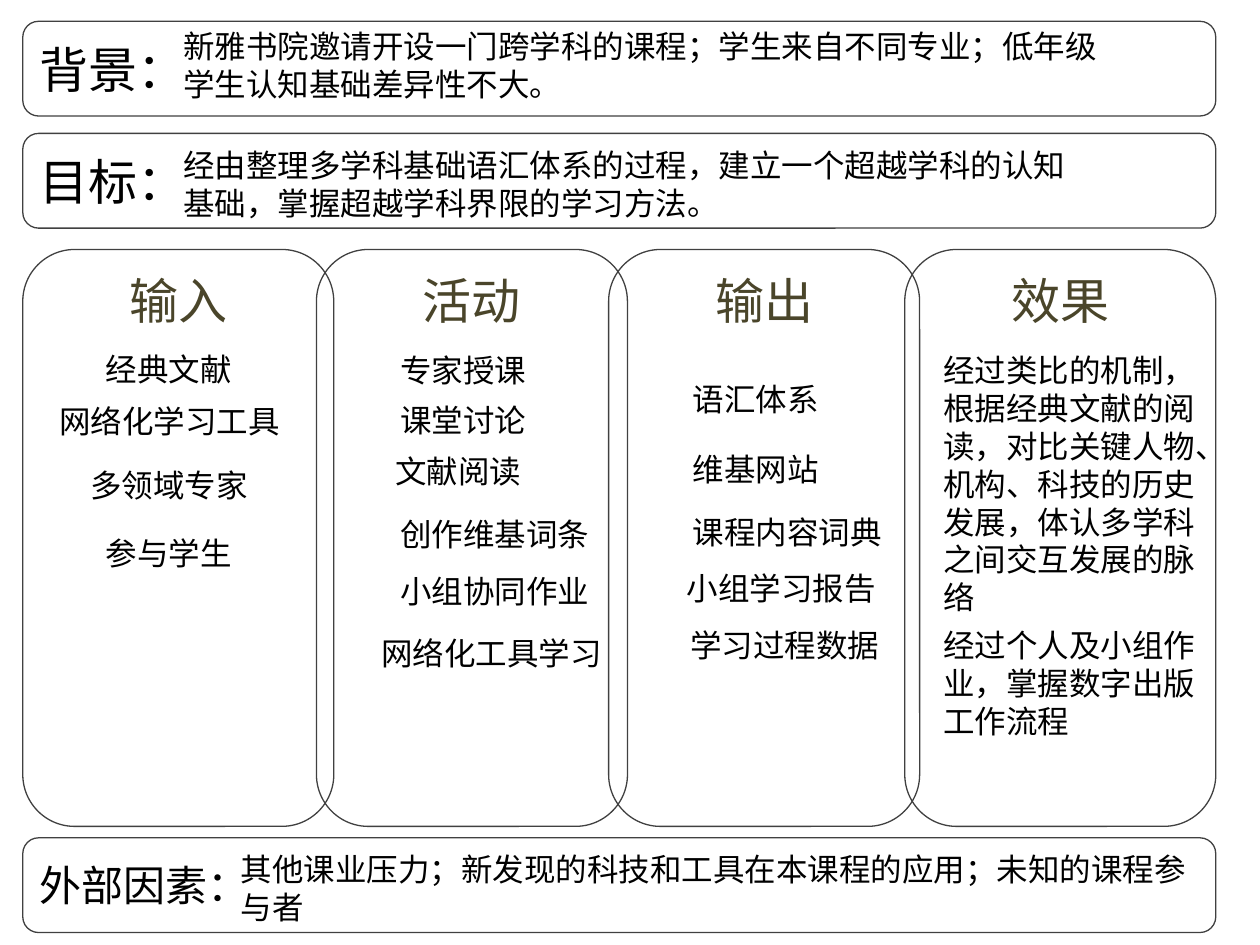
from pptx import Presentation
from pptx.dml.color import RGBColor
from pptx.enum.shapes import MSO_SHAPE
from pptx.enum.text import MSO_ANCHOR, PP_ALIGN
from pptx.util import Cm, Pt

# Content: banners as label, label size, top, text left, text top, text width, text
BANNERS = [
    ("背景：", 28, 0.43, 3.45, 0.43, 19.02,
     "新雅书院邀请开设一门跨学科的课程；学生来自不同专业；低年级学生认知基础差异性不大。"),
    ("目标：", 28, 2.69, 3.45, 2.82, 18.9,
     "经由整理多学科基础语汇体系的过程，建立一个超越学科的认知基础，掌握超越学科界限的学习方法。"),
    ("外部因素：", 24, 16.89, 4.6, 17.02, 19.61,
     "其他课业压力；新发现的科技和工具在本课程的应用；未知的课程参与者"),
]

# Columns as heading, left, and items given as text, left, top
COLUMNS = [
    ("输入", 0.46, [
        ("经典文献", 1.88, 6.93),
        ("网络化学习工具", 0.94, 7.98),
        ("多领域专家", 1.57, 9.27),
        ("参与学生", 1.88, 10.64),
    ]),
    ("活动", 6.38, [
        ("专家授课", 7.82, 6.96),
        ("课堂讨论", 7.82, 7.95),
        ("文献阅读", 7.72, 8.99),
        ("创作维基词条", 7.82, 10.26),
        ("小组协同作业", 7.82, 11.4),
        ("网络化工具学习", 7.44, 12.65),
    ]),
    ("输出", 12.27, [
        ("语汇体系", 13.72, 7.54),
        ("维基网站", 13.72, 8.94),
        ("课程内容词典", 13.72, 10.21),
        ("小组学习报告", 13.59, 11.35),
        ("学习过程数据", 13.67, 12.5),
    ]),
    ("效果", 18.24, [
        ("经过类比的机制，根据经典文献的阅读，对比关键人物、机构、科技的历史发展，"
         "体认多学科之间交互发展的脉络", 18.77, 6.96),
        ("经过个人及小组作业，掌握数字出版工作流程", 18.77, 12.5),
    ]),
]

# Layout in centimetres
BANNER_LEFT, BANNER_WIDTH, BANNER_HEIGHT = 0.46, 24.05, 1.91
COLUMN_TOP, COLUMN_WIDTH, COLUMN_HEIGHT = 5.03, 6.27, 11.63
CHARACTER_WIDTH, SIDE_INSETS = 0.635, 0.51
LINE_HEIGHT, TOP_INSETS = 0.96, 0.25
PARAGRAPH_WIDTH = 5.74
LONGEST_LABEL = 7


def color(hex_string):
    return RGBColor.from_string(hex_string)


def write(frame, text, size=18, font="Calibri", hex_color="000000",
          align=PP_ALIGN.LEFT, anchor=MSO_ANCHOR.TOP, wrap=True):
    frame.word_wrap = wrap
    frame.vertical_anchor = anchor
    paragraph = frame.paragraphs[0]
    paragraph.alignment = align
    run = paragraph.add_run()
    run.text = text
    run.font.size = Pt(size)
    run.font.name = font
    run.font.color.rgb = color(hex_color)


def add_panel(slide, left, top, width, height, text, **text_format):
    shape = slide.shapes.add_shape(
        MSO_SHAPE.ROUNDED_RECTANGLE, Cm(left), Cm(top), Cm(width), Cm(height))
    shape.shadow.inherit = False
    shape.fill.background()
    shape.line.color.rgb = color("404040")
    shape.line.width = Pt(0.75)
    write(shape.text_frame, text, **text_format)


def add_text(slide, left, top, width, text, wrap=True):
    characters_per_line = int((width - SIDE_INSETS) / CHARACTER_WIDTH + 0.01)
    lines = -(-len(text) // characters_per_line)
    height = lines * LINE_HEIGHT + TOP_INSETS
    box = slide.shapes.add_textbox(Cm(left), Cm(top), Cm(width), Cm(height))
    write(box.text_frame, text, wrap=wrap)


def main():
    presentation = Presentation()
    presentation.slide_width, presentation.slide_height = Cm(25.4), Cm(19.05)
    slide = presentation.slides.add_slide(presentation.slide_layouts[6])

    # Banners with their label and description
    for label, size, top, text_left, text_top, text_width, text in BANNERS:
        add_panel(slide, BANNER_LEFT, top, BANNER_WIDTH, BANNER_HEIGHT, label,
                  size=size, anchor=MSO_ANCHOR.MIDDLE)
        add_text(slide, text_left, text_top, text_width, text)

    # Overlapping columns
    for heading, left, _ in COLUMNS:
        add_panel(slide, left, COLUMN_TOP, COLUMN_WIDTH, COLUMN_HEIGHT, heading,
                  size=28, font="Noto Sans CJK SC", hex_color="4A452A",
                  align=PP_ALIGN.CENTER)

    # Column items: short labels fit their text, long ones wrap
    for _, _, items in COLUMNS:
        for text, left, top in items:
            is_label = len(text) <= LONGEST_LABEL
            label_width = len(text) * CHARACTER_WIDTH + SIDE_INSETS
            width = label_width if is_label else PARAGRAPH_WIDTH
            add_text(slide, left, top, width, text, wrap=not is_label)

    presentation.save("out.pptx")


if __name__ == "__main__":
    main()
